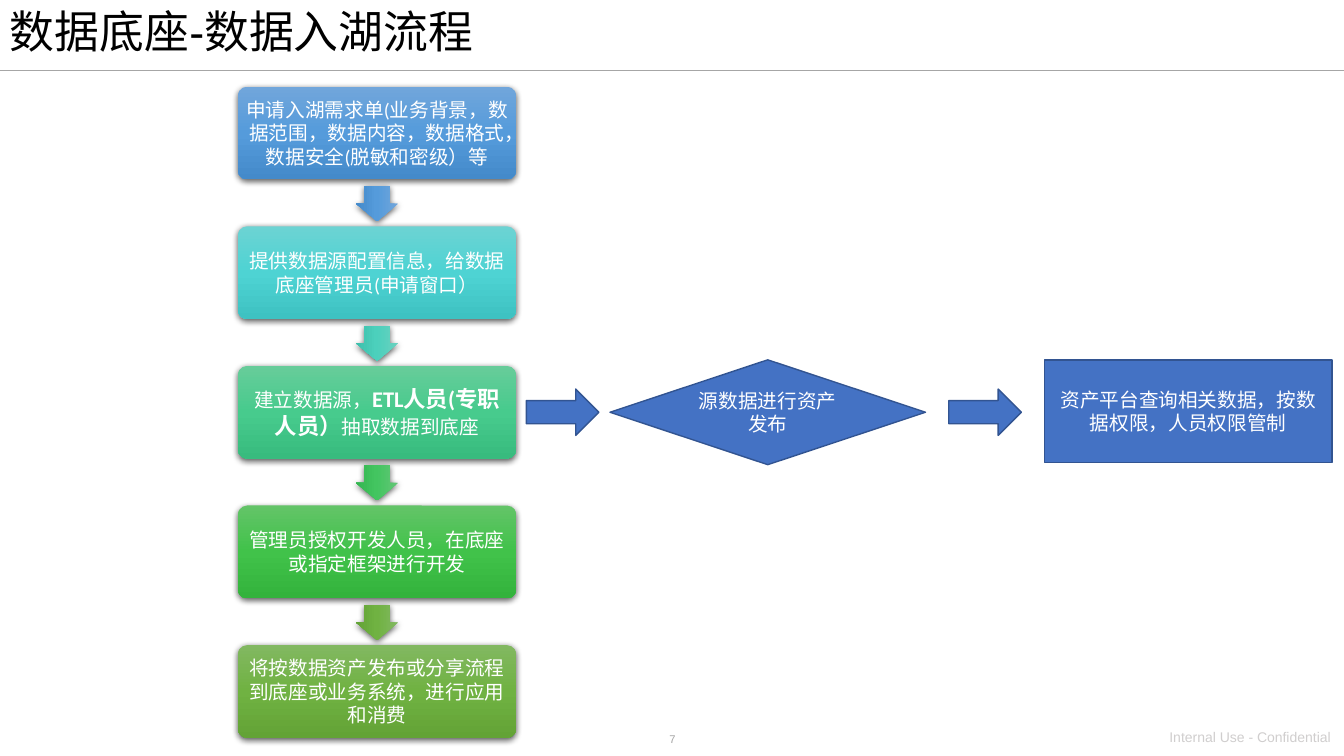
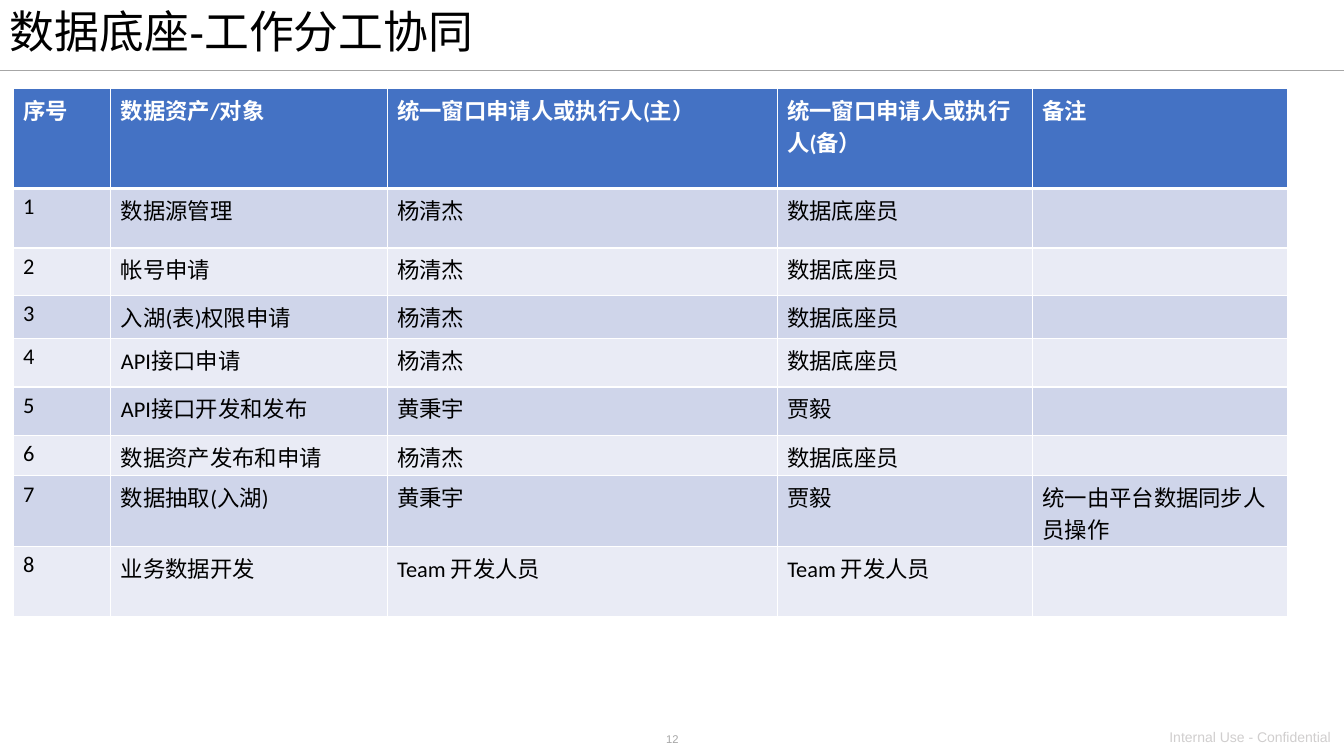
from lxml import etree
from pptx import Presentation
from pptx.dml.color import RGBColor
from pptx.enum.shapes import MSO_CONNECTOR, MSO_SHAPE
from pptx.enum.text import MSO_ANCHOR, PP_ALIGN
from pptx.oxml.ns import qn
from pptx.util import Inches, Pt

LINE = MSO_CONNECTOR.STRAIGHT
ROUND = MSO_SHAPE.ROUNDED_RECTANGLE
RECT = MSO_SHAPE.RECTANGLE
ARROW = MSO_SHAPE.RIGHT_ARROW
CHOICE = MSO_SHAPE.FLOWCHART_DECISION
MIDDLE = MSO_ANCHOR.MIDDLE
LEFT, CENTER = PP_ALIGN.LEFT, PP_ALIGN.CENTER

BLACK = RGBColor(0x00, 0x00, 0x00)
WHITE = RGBColor(0xFF, 0xFF, 0xFF)
GRAY = RGBColor(0xA6, 0xA6, 0xA6)
PALE = RGBColor(0xD0, 0xCE, 0xCE)
BLUE = RGBColor(0x44, 0x72, 0xC4)
NAVY = RGBColor(0x32, 0x54, 0x91)
BANDS = (RGBColor(0xE9, 0xEB, 0xF5), RGBColor(0xCF, 0xD5, 0xEA))

SKY = (RGBColor(0x71, 0xA6, 0xDB), RGBColor(0x55, 0x9B, 0xDB), RGBColor(0x44, 0x8A, 0xCA))
AQUA = (RGBColor(0x6C, 0xD3, 0xD3), RGBColor(0x4E, 0xD3, 0xD3), RGBColor(0x3E, 0xC2, 0xC2))
TEAL = (RGBColor(0x6B, 0xD1, 0xC0), RGBColor(0x4C, 0xD0, 0xBC), RGBColor(0x3D, 0xC0, 0xAC))
MINT = (RGBColor(0x67, 0xCC, 0x9A), RGBColor(0x47, 0xCB, 0x8D), RGBColor(0x38, 0xBB, 0x7E))
JADE = (RGBColor(0x64, 0xC6, 0x77), RGBColor(0x43, 0xC5, 0x60), RGBColor(0x35, 0xB6, 0x51))
GREEN = (RGBColor(0x63, 0xC4, 0x68), RGBColor(0x41, 0xC2, 0x4A), RGBColor(0x33, 0xB3, 0x3C))
OLIVE = (RGBColor(0x82, 0xB8, 0x61), RGBColor(0x70, 0xB2, 0x42), RGBColor(0x63, 0xA3, 0x36))

WIDE, HIGH = 13.33, 7.5
SANS, BODY = "Arial", "Calibri"

STEPS = [
    (["申请入湖需求单(业务背景，数据范围，数据内容，数据格式，数据安全(脱敏和密级）等"], SKY, SKY),
    (["提供数据源配置信息，给数据底座管理员(申请窗口）"], AQUA, TEAL),
    (["建立数据源，", "ETL人员(专职人员）", "抽取数据到底座"], MINT, JADE),
    (["管理员授权开发人员，在底座或指定框架进行开发"], GREEN, OLIVE),
    (["将按数据资产发布或分享流程到底座或业务系统，进行应用和消费"], OLIVE, None),
]
HEADS = ["序号", "数据资产/对象", "统一窗口申请人或执行人(主）", "统一窗口申请人或执行人(备）", "备注"]
LEAD, BASE = "杨清杰", "数据底座员"
CODER, SPARE = "黄秉宇", "贾毅"
TEAM = "Team 开发人员"
DUTIES = [
    ("数据源管理", LEAD, BASE, ""),
    ("帐号申请", LEAD, BASE, ""),
    ("入湖(表)权限申请", LEAD, BASE, ""),
    ("API接口申请", LEAD, BASE, ""),
    ("API接口开发和发布", CODER, SPARE, ""),
    ("数据资产发布和申请", LEAD, BASE, ""),
    ("数据抽取(入湖)", CODER, SPARE, "统一由平台数据同步人员操作"),
    ("业务数据开发", TEAM, TEAM, ""),
]
COLS = [0.97, 2.74, 3.87, 2.53, 2.53]
ROWS = [0.99, 0.59, 0.47, 0.43, 0.48, 0.48, 0.4, 0.7, 0.7]


def inch(box):
    return [Inches(v) for v in box]


def style(run, size, color, font=BODY, bold=False):
    run.font.size = Pt(size)
    run.font.name = font
    run.font.bold = bold
    run.font.color.rgb = color


def write(frame, text, size, color, font=BODY, align=LEFT, bold=False):
    frame.text = text
    frame.word_wrap = True
    para = frame.paragraphs[0]
    para.alignment = align
    for run in para.runs:
        style(run, size, color, font, bold)


def label(slide, box, text, size, color, align=LEFT):
    frame = slide.shapes.add_textbox(*inch(box)).text_frame
    write(frame, text, size, color, SANS, align)
    return frame


def tint(parent, color):
    return etree.SubElement(parent, qn("a:srgbClr"), val=str(color))


def shade(shape, tones):
    props = shape._element.spPr
    grad = etree.Element(qn("a:gradFill"), rotWithShape="1")
    stops = etree.SubElement(grad, qn("a:gsLst"))
    for i, tone in enumerate(tones):
        tint(etree.SubElement(stops, qn("a:gs"), pos=str(i * 50000)), tone)
    etree.SubElement(grad, qn("a:lin"), ang="5400000", scaled="0")
    props.find(qn("a:prstGeom")).addnext(grad)
    shape.line.fill.background()
    shape.shadow.inherit = False
    glow = etree.SubElement(
        props.find(qn("a:effectLst")), qn("a:outerShdw"),
        blurRad=str(Pt(4.5)), dist=str(Pt(1.5)), dir="5400000", rotWithShape="0")
    etree.SubElement(tint(glow, BLACK), qn("a:alpha"), val="63000")


def plain(slide, kind, box, text=""):
    shape = slide.shapes.add_shape(kind, *inch(box))
    shape.shadow.inherit = False
    shape.fill.solid()
    shape.fill.fore_color.rgb = BLUE
    shape.line.color.rgb = NAVY
    shape.line.width = Pt(1)
    if text:
        write(shape.text_frame, text, 14, WHITE, align=CENTER)
        shape.text_frame.vertical_anchor = MIDDLE


def step(slide, box, parts, tones):
    shape = slide.shapes.add_shape(ROUND, *inch(box))
    shape.adjustments[0] = 0.1
    shade(shape, tones)
    frame = shape.text_frame
    frame.word_wrap = True
    frame.vertical_anchor = MIDDLE
    frame.margin_left = frame.margin_right = Inches(0.03)
    frame.margin_top = frame.margin_bottom = Inches(0.03)
    para = frame.paragraphs[0]
    para.alignment = CENTER
    for i, part in enumerate(parts):
        run = para.add_run()
        run.text = part
        style(run, 16 if i == 1 else 14, WHITE, bold=i == 1)


def down(slide, mid, top, tones):
    wide, high = 0.35, 0.42
    shape = slide.shapes.add_shape(ARROW, *inch((mid - wide / 2, top, wide, high)))
    shape.rotation = 90
    shape.adjustments[0] = 0.6
    shape.adjustments[1] = 0.5
    shade(shape, tones)


def chain(slide, box):
    left, top, wide, high = box
    tall = 0.92
    pitch = (high - tall) / (len(STEPS) - 1)
    for i, (parts, tones, link) in enumerate(STEPS):
        y = top + i * pitch
        step(slide, (left, y, wide, tall), parts, tones)
        if link:
            down(slide, left + wide / 2, y + tall + 0.03, link)


def branch(slide, box):
    left, top, wide, high = box
    mid = top + high / 2
    plain(slide, CHOICE, (left + 0.83, top, 3.13, high), "源数据进行资产发布")
    plain(slide, RECT, (left + wide - 2.85, top, 2.85, 1.02),
          "资产平台查询相关数据，按数据权限，人员权限管制")
    for x in (left, left + 4.19):
        plain(slide, ARROW, (x, mid - 0.23, 0.72, 0.46))


def edge(cell, side, width):
    line = etree.Element(qn("a:" + side), w=str(Pt(width)))
    tint(etree.SubElement(line, qn("a:solidFill")), WHITE)
    return line


def grid(slide, box):
    table = slide.shapes.add_table(len(ROWS), len(COLS), *inch(box)).table
    table.horz_banding = False
    for col, wide in zip(table.columns, COLS):
        col.width = Inches(wide)
    for row, high in zip(table.rows, ROWS):
        row.height = Inches(high)
    data = [HEADS] + [(str(i), *duty) for i, duty in enumerate(DUTIES, 1)]
    for r, texts in enumerate(data):
        head = r == 0
        for c, text in enumerate(texts):
            cell = table.cell(r, c)
            write(cell.text_frame, text, 16, WHITE if head else BLACK, bold=head)
            cell.fill.solid()
            cell.fill.fore_color.rgb = BLUE if head else BANDS[r % 2]
            sides = {"lnL": 1, "lnR": 1, "lnT": 3 if r == 1 else 1, "lnB": 3 if head else 1}
            for i, (side, width) in enumerate(sides.items()):
                cell._tc.tcPr.insert(i, edge(cell, side, width))


def page(deck, title, number):
    slide = deck.slides.add_slide(deck.slide_layouts[6])
    rule = slide.shapes.add_connector(LINE, *inch((0, 0.7, WIDE, 0.7)))
    rule.line.color.rgb = GRAY
    rule.line.width = Pt(1)
    etree.SubElement(rule._element.spPr, qn("a:effectLst"))
    label(slide, (5.79, 7.22, 1.76, 0.24), number, 8, GRAY, CENTER)
    label(slide, (11.5, 7.18, 1.84, 0.27), "Internal Use - Confidential", 10, PALE)
    frame = label(slide, (0, 0, 10.53, 0.68), title, 32, BLACK)
    frame.vertical_anchor = MIDDLE
    frame.paragraphs[0].line_spacing = 0.9
    return slide


def main():
    deck = Presentation()
    deck.slide_width, deck.slide_height = Inches(WIDE), Inches(HIGH)
    flow = page(deck, "数据底座-数据入湖流程", "7")
    chain(flow, (2.36, 0.86, 2.76, 6.46))
    branch(flow, (5.22, 3.57, 7.99, 1.04))
    work = page(deck, "数据底座-工作分工协同", "12")
    grid(work, (0.13, 0.88, sum(COLS), sum(ROWS)))
    deck.save("out.pptx")


if __name__ == "__main__":
    main()
